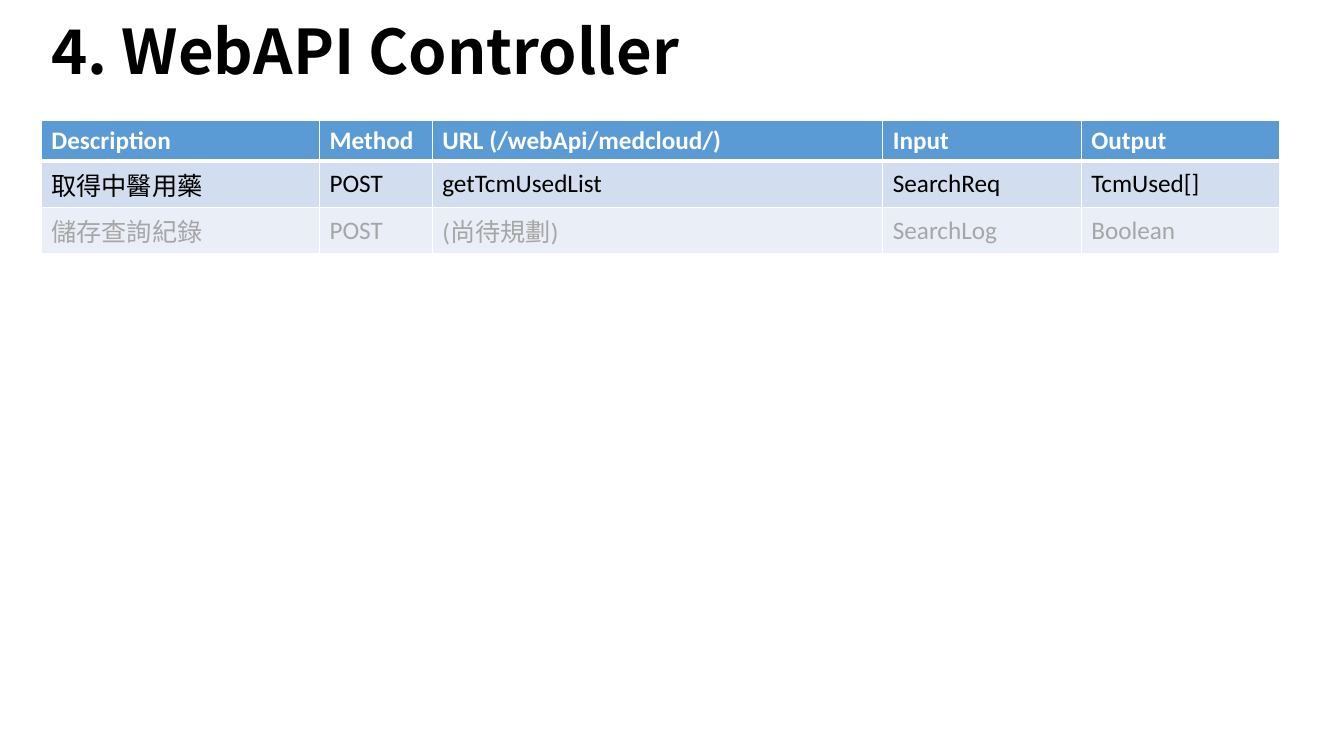
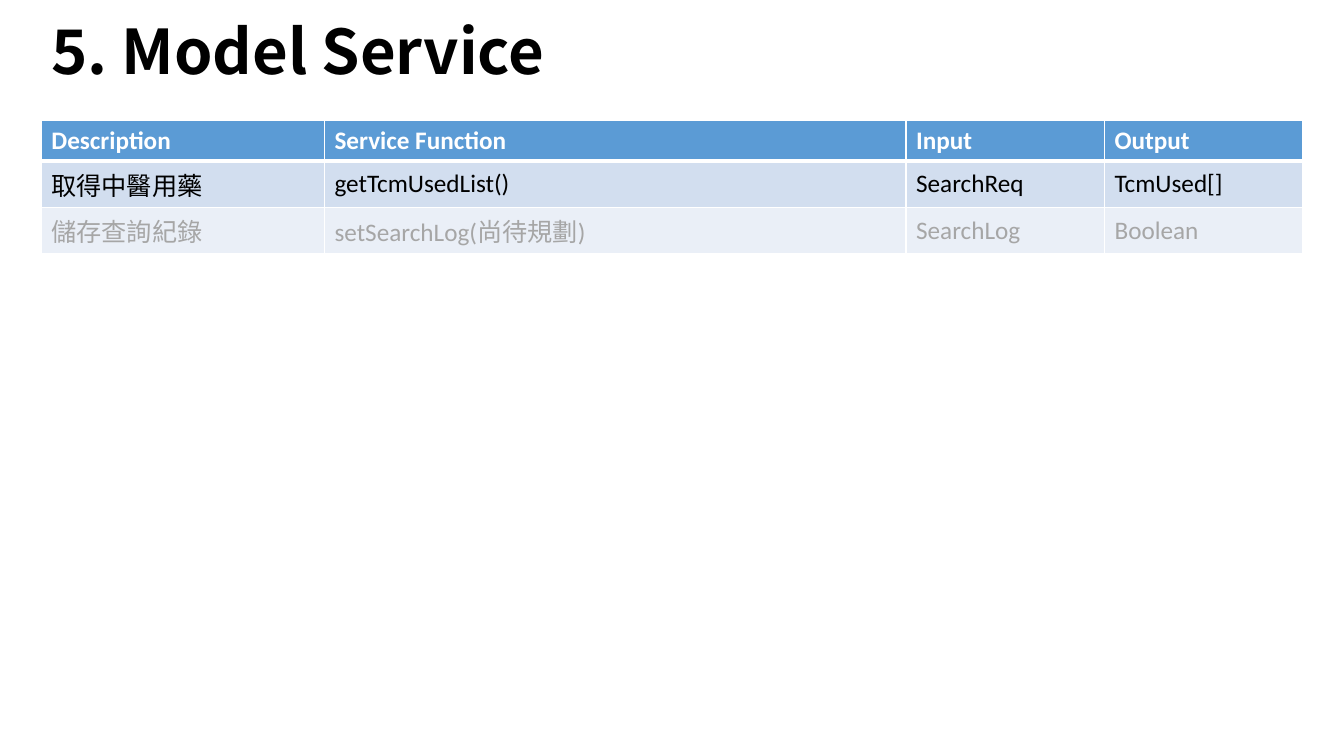
from itertools import groupby

from lxml.etree import SubElement
from pptx import Presentation
from pptx.dml.color import RGBColor
from pptx.enum.text import MSO_ANCHOR as Anchor, MSO_AUTO_SIZE as AutoSize, PP_ALIGN as Align
from pptx.oxml.ns import qn
from pptx.util import Pt

WHITE = RGBColor(0xFF, 0xFF, 0xFF)
BLACK = RGBColor(0x00, 0x00, 0x00)
GREY = RGBColor(0xA6, 0xA6, 0xA6)
HEADER_BLUE = RGBColor(0x5B, 0x9B, 0xD5)
BAND_DARK = RGBColor(0xD2, 0xDE, 0xEF)
BAND_LIGHT = RGBColor(0xEA, 0xEF, 0xF7)

LATIN_FONT = "Calibri"
CJK_FONT = "Noto Sans CJK SC"

# Fill, text colour and bold of the header, ready and planned rows
ROW_STYLES = [
    (HEADER_BLUE, WHITE, True),
    (BAND_DARK, BLACK, False),
    (BAND_LIGHT, GREY, False),
]


def is_cjk(char):
    return "一" <= char <= "鿿"


class SlideBuilder:
    """Holds the shared style and the slide being built."""

    left = 29.5
    table_top = 85.7
    row_height = 28.8
    thin, thick = 1, 3

    def __init__(self):
        self.deck = Presentation()
        self.deck.slide_width, self.deck.slide_height = Pt(960), Pt(540)
        self.page = None

    def add_page(self, title):
        self.page = self.deck.slides.add_slide(self.deck.slide_layouts[5])
        box = self.page.shapes.title
        box.left, box.top = Pt(self.left), Pt(-7.2)
        box.width, box.height = Pt(669.6), Pt(92.2)
        frame = box.text_frame
        frame.text = title
        frame.auto_size = AutoSize.NONE
        frame.vertical_anchor = Anchor.MIDDLE
        para = frame.paragraphs[0]
        para.alignment = Align.LEFT
        para.line_spacing = 0.9
        self.style_span(para.runs[0], CJK_FONT, 44, BLACK, True)

    def add_table(self, widths, rows):
        frame = self.page.shapes.add_table(
            len(rows), len(widths), Pt(self.left), Pt(self.table_top),
            Pt(sum(widths)), Pt(self.row_height * len(rows)))
        table = frame.table
        for column, width in zip(table.columns, widths):
            column.width = Pt(width)
        for index, (texts, style) in enumerate(zip(rows, ROW_STYLES)):
            fill, colour, bold = style
            # The rule under the header is heavier than the others
            top = self.thick if index == 1 else self.thin
            bottom = self.thick if index == 0 else self.thin
            for cell, text in zip(table.rows[index].cells, texts):
                self.set_borders(cell, top, bottom)
                cell.fill.solid()
                cell.fill.fore_color.rgb = fill
                cell.vertical_anchor = Anchor.MIDDLE
                self.fill_cell(cell, text, colour, bold)

    def fill_cell(self, cell, text, colour, bold):
        # One run for each stretch of Latin or Chinese text
        para = cell.text_frame.paragraphs[0]
        for cjk, chars in groupby(text, is_cjk):
            span = para.add_run()
            span.text = "".join(chars)
            self.style_span(span, CJK_FONT if cjk else LATIN_FONT, 18, colour, bold)

    def style_span(self, span, name, size, colour, bold):
        font = span.font
        font.name, font.size, font.bold = name, Pt(size), bold
        font.color.rgb = colour
        # East Asian characters take their own typeface element
        SubElement(span._r.get_or_add_rPr(), qn("a:ea"), typeface=name)

    def set_borders(self, cell, top, bottom):
        properties = cell._tc.get_or_add_tcPr()
        sides = {"L": self.thin, "R": self.thin, "T": top, "B": bottom}
        for side, width in sides.items():
            line = SubElement(properties, qn("a:ln" + side), w=str(Pt(width)))
            paint = SubElement(line, qn("a:solidFill"))
            SubElement(paint, qn("a:srgbClr"), val=str(WHITE))


def main():
    builder = SlideBuilder()

    # Web API
    builder.add_page("4. WebAPI Controller")
    builder.add_table([198.7, 80.6, 321.8, 141.8, 141.8], [
        ["Description", "Method", "URL (/webApi/medcloud/)", "Input", "Output"],
        ["取得中醫用藥", "POST", "getTcmUsedList", "SearchReq", "TcmUsed[]"],
        ["儲存查詢紀錄", "POST", "(尚待規劃)", "SearchLog", "Boolean"],
    ])

    # Service functions
    builder.add_page("5. Model Service")
    builder.add_table([202.3, 415.4, 141.8, 141.8], [
        ["Description", "Service Function", "Input", "Output"],
        ["取得中醫用藥", "getTcmUsedList()", "SearchReq", "TcmUsed[]"],
        ["儲存查詢紀錄", "setSearchLog(尚待規劃)", "SearchLog", "Boolean"],
    ])

    builder.deck.save("out.pptx")


if __name__ == "__main__":
    main()
